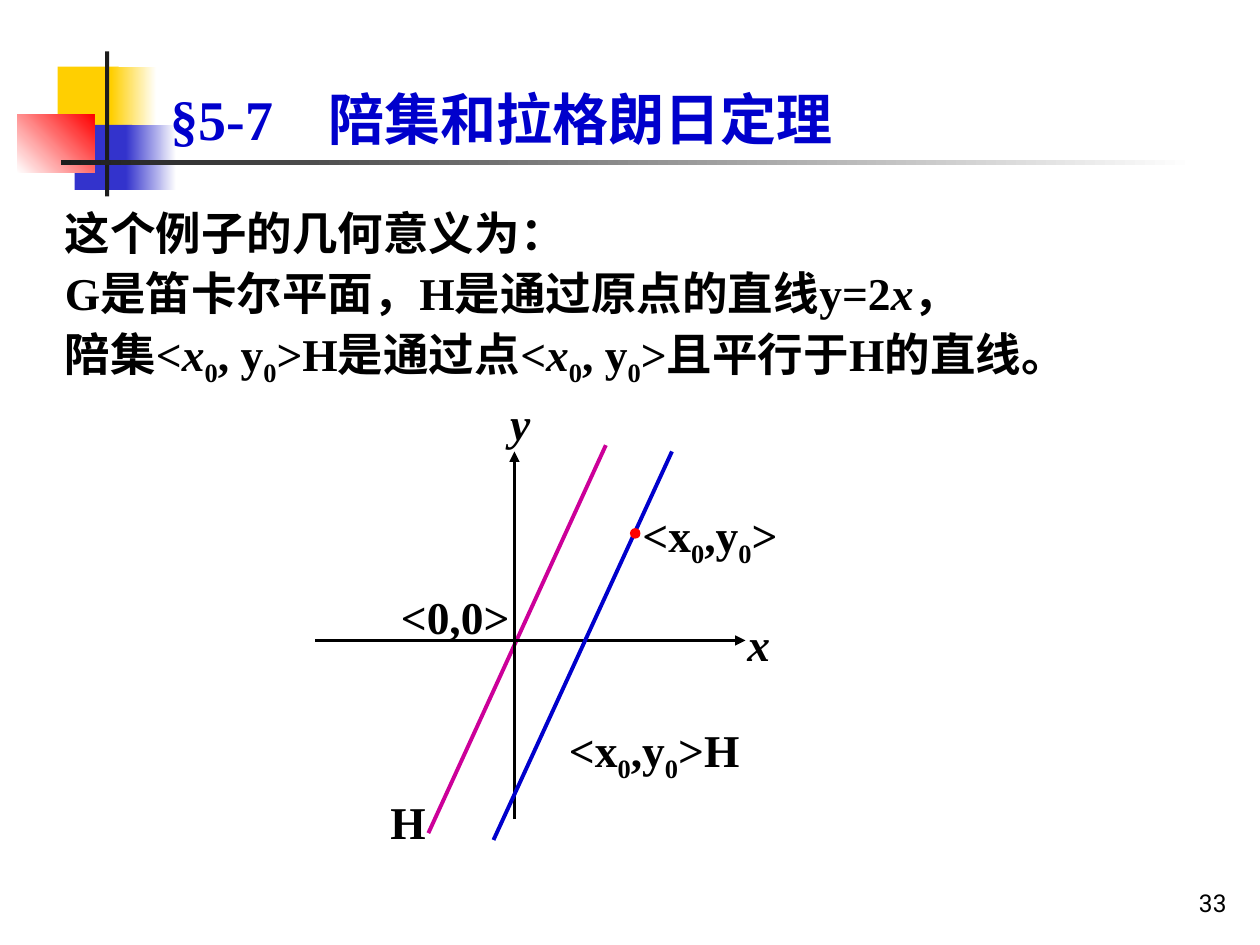
import pptx
import pptx.util
import pptx.dml.color
import pptx.enum.shapes
import pptx.enum.text
import pptx.oxml

CELL = 1 / 12  # grid of 120 columns by 90 rows on a 10 x 7.5 inch slide
SERIF = "Times New Roman"
BLACK, BLUE, WHITE = "000000", "0000CC", "FFFFFF"
SHAPE = pptx.enum.shapes.MSO_SHAPE
ANCHOR = pptx.enum.text.MSO_ANCHOR
NS = 'xmlns:a="http://schemas.openxmlformats.org/drawingml/2006/main"'


def grid(*cells):
    return [pptx.util.Inches(cell * CELL) for cell in cells]


def color(code):
    return pptx.dml.color.RGBColor.from_string(code)


def xml(tag, inner=""):
    return pptx.oxml.parse_xml(f"<a:{tag} {NS}>{inner}</a:{tag}>")


def block(shapes, kind, box, fill, end=None, angle=0):
    """Draw a filled shape; with an end colour the fill is a gradient."""
    shape = shapes.add_shape(kind, *grid(*box))
    shape.shadow.inherit = False
    shape.line.fill.background()
    if end is None:
        shape.fill.solid()
        shape.fill.fore_color.rgb = color(fill)
        return
    shape.fill.gradient()
    shape.fill.gradient_angle = angle
    for stop, code, place in zip(shape.fill.gradient_stops, (fill, end), (0, 1)):
        stop.color.rgb = color(code)
        stop.position = place


def line(shapes, start, end, code, width, arrow=False):
    link = shapes.add_connector(
        pptx.enum.shapes.MSO_CONNECTOR.STRAIGHT, *grid(*start, *end))
    link.line.color.rgb = color(code)
    link.line.width = pptx.util.Pt(width)
    if arrow:
        tail = xml("tailEnd")
        tail.set("type", "triangle")
        link.line._get_or_add_ln().append(tail)
    link._element.spPr.append(xml("effectLst"))


def write(para, text, size, code=BLACK, face=SERIF, bold=True):
    """Add runs split at '|'; a leading * is italic, a leading _ is subscript."""
    for part in text.split("|"):
        run = para.add_run()
        run.text = part.lstrip("*_")
        font = run.font
        font.name, font.size, font.bold = face, pptx.util.Pt(size), bold
        font.color.rgb = color(code)
        font.italic = part.startswith("*")
        if part.startswith("_"):
            font._element.set("baseline", "-25000")


def frame(shapes, box, anchor=ANCHOR.TOP):
    text = shapes.add_textbox(*grid(*box)).text_frame
    text.word_wrap = True
    text.vertical_anchor = anchor
    return text


def label(shapes, box, text):
    para = frame(shapes, box).paragraphs[0]
    para.line_spacing = 1.2
    write(para, text, 26)


def logo(shapes):
    """Draw the coloured squares and rules beside the title."""
    rect = SHAPE.RECTANGLE
    for code, top, left, wide, fade, tail in (
            ("FFCF01", 6.35, 5.5, 5.8, 10.6, 4.3),
            ("3333CC", 11.9, 7.1, 5.5, 12, 4.8)):
        block(shapes, rect, (left, top, wide, 6.2), code)
        block(shapes, rect, (fade, top, tail, 6.2), code, WHITE)
    block(shapes, rect, (1.65, 10.9, 7.35, 5.55), WHITE, "FF0000", 45)
    block(shapes, rect, (10, 4.9, 0.4, 13.8), "1C1C1C")
    block(shapes, rect, (5.8, 15.25, 108, 0.45), "1C1C1C", WHITE)


def title(shapes):
    para = frame(shapes, (15.1, 0, 102.2, 15), ANCHOR.BOTTOM).paragraphs[0]
    tabs = xml("tabLst", f'<a:tab pos="{pptx.util.Inches(1.25)}" algn="l"/>')
    para._p.get_or_add_pPr().append(tabs)
    write(para, "§5-7\t陪集和拉格朗日定理", 32, BLUE)


def body(shapes):
    text = frame(shapes, (5, 18.4, 103, 20.6))
    pair = "<|*x|_0|, y|_0|>"
    rows = (
        "这个例子的几何意义为：",
        "G是笛卡尔平面，H是通过原点的直线y=2|*x|，",
        f"陪集{pair}H是通过点{pair}且平行于H的直线。",
    )
    for num, row in enumerate(rows):
        para = text.add_paragraph() if num else text.paragraphs[0]
        para.line_spacing = 1.1
        props = para._p.get_or_add_pPr()
        indent = pptx.util.Inches(0.38)
        props.set("marL", str(indent))
        props.set("indent", str(-indent))
        write(para, row, 26)


def graph(shapes):
    """Draw the axes, the line H and its coset with their labels."""
    group = shapes.add_group_shape().shapes
    line(group, (40.8, 79.35), (57.7, 42.4), "CC0099", 2.25)
    line(group, (30, 61), (71, 61), BLACK, 1.5, True)
    line(group, (49, 78), (49, 43), BLACK, 1.5, True)
    line(group, (47, 80), (64, 43), BLUE, 2.25)
    block(group, SHAPE.OVAL, (60, 50.3, 1, 1), "FF0000")
    point = "<x|_0|,y|_0|>"
    for left, top, wide, text in (
            (36, 74, 8, "H"),
            (70, 57, 5, "*x"),
            (47.4, 36, 7, "*y"),
            (37, 54.5, 13, "<0,0>"),
            (60, 46.5, 16, point),
            (53, 67, 20, point + "H")):
        label(group, (left, top, wide, 7.5), text)


def page(shapes):
    para = frame(shapes, (93, 82, 25, 6), ANCHOR.BOTTOM).paragraphs[0]
    para.alignment = pptx.enum.text.PP_ALIGN.RIGHT
    write(para, "33", 14, face="Roboto", bold=False)


def main():
    deck = pptx.Presentation()
    deck.slide_width, deck.slide_height = grid(120, 90)
    shapes = deck.slides.add_slide(deck.slide_layouts[6]).shapes
    for draw in (logo, page, title, body, graph):
        draw(shapes)
    deck.save("out.pptx")


if __name__ == "__main__":
    main()
